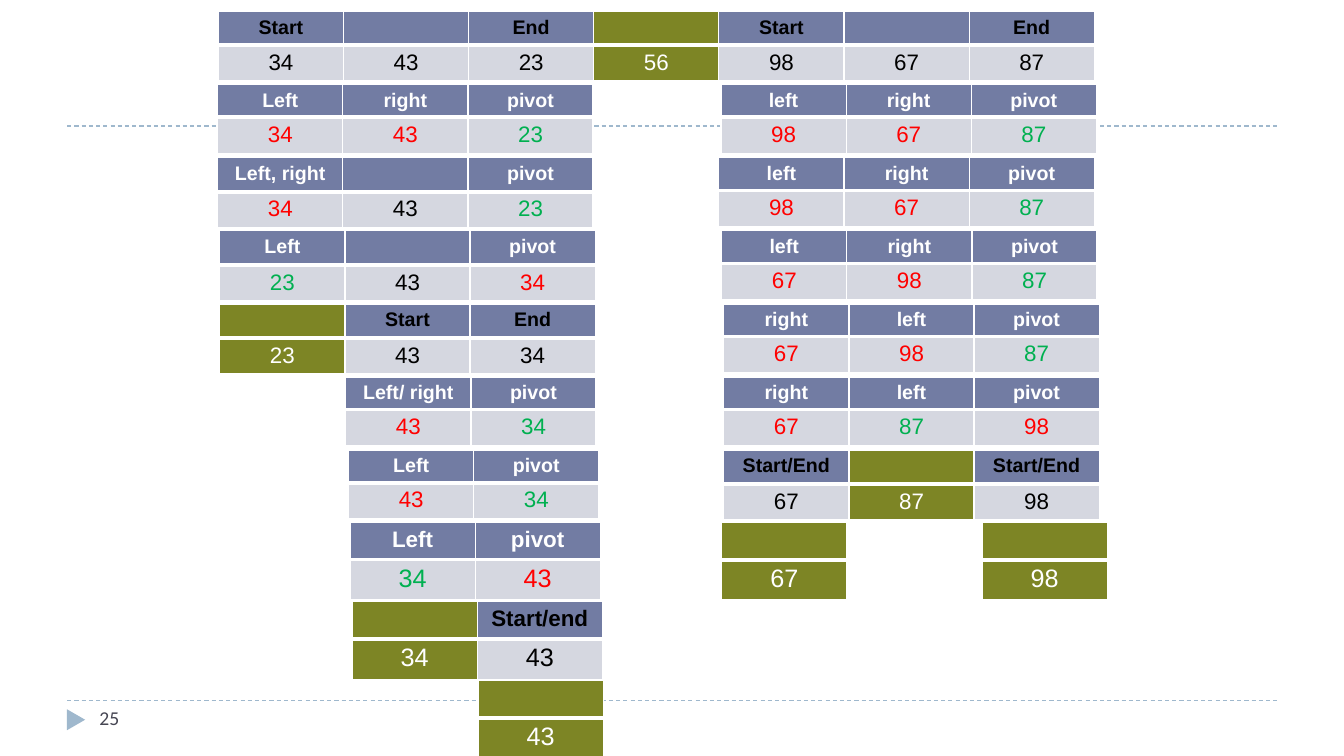
from lxml.etree import SubElement
from pptx import Presentation
from pptx.dml.color import RGBColor
from pptx.enum.dml import MSO_LINE
from pptx.enum.shapes import MSO_CONNECTOR, MSO_SHAPE
from pptx.enum.text import MSO_ANCHOR, PP_ALIGN
from pptx.oxml.ns import qn
from pptx.util import Pt

WHITE = RGBColor(0xFF, 0xFF, 0xFF)
BLACK = RGBColor(0x00, 0x00, 0x00)
RED = RGBColor(0xFF, 0x00, 0x00)
GREEN = RGBColor(0x00, 0xB0, 0x50)
SLATE = RGBColor(0x72, 0x7C, 0xA3)
PALE = RGBColor(0xD5, 0xD7, 0xE0)
OLIVE = RGBColor(0x7D, 0x85, 0x25)
SKY = RGBColor(0x9F, 0xB8, 0xCD)
INK = RGBColor(0x46, 0x46, 0x53)

SCANNED, PIVOT, WAITING, SETTLED = RED, GREEN, BLACK, WHITE
COLUMN_WIDTH = 89.4
FIRST_STEP, STEP_PITCH = 60.5, 52.2
FIRST_LARGE, LARGE_PITCH = 373, 56.5

WHOLE_ARRAY = [("Start", 34, WAITING), ("", 43, WAITING), ("End", 23, WAITING),
               ("", 56, SETTLED), ("Start", 98, WAITING), ("", 67, WAITING),
               ("End", 87, WAITING)]

LEFT_STEPS = [
    (155.5, [("Left", 34, SCANNED), ("right", 43, SCANNED), ("pivot", 23, PIVOT)]),
    (155.5, [("Left, right", 34, SCANNED), ("", 43, WAITING), ("pivot", 23, PIVOT)]),
    (157, [("Left", 23, PIVOT), ("", 43, WAITING), ("pivot", 34, SCANNED)]),
    (157, [("", 23, SETTLED), ("Start", 43, WAITING), ("End", 34, WAITING)]),
    (247, [("Left/ right", 43, SCANNED), ("pivot", 34, PIVOT)]),
    (249, [("Left", 43, SCANNED), ("pivot", 34, PIVOT)]),
]

RIGHT_STEPS = [
    (515, [("left", 98, SCANNED), ("right", 67, SCANNED), ("pivot", 87, PIVOT)]),
    (513.5, [("left", 98, SCANNED), ("right", 67, SCANNED), ("pivot", 87, PIVOT)]),
    (515.5, [("left", 67, SCANNED), ("right", 98, SCANNED), ("pivot", 87, PIVOT)]),
    (517, [("right", 67, SCANNED), ("left", 98, SCANNED), ("pivot", 87, PIVOT)]),
    (517, [("right", 67, SCANNED), ("left", 87, PIVOT), ("pivot", 98, SCANNED)]),
    (517, [("Start/End", 67, WAITING), ("", 87, SETTLED), ("Start/End", 98, WAITING)]),
]

LEFT_LARGE_STEPS = [
    (250, [("Left", 34, PIVOT), ("pivot", 43, SCANNED)]),
    (251.5, [("", 34, SETTLED), ("Start/end", 43, WAITING)]),
    (341.5, [("", 43, SETTLED)]),
]

RIGHT_LARGE_STEPS = [(515.5, [("", 67, SETTLED)]), (701.5, [("", 98, SETTLED)])]


def write(frame, text, size, color, font="Arial", bold=False, align=PP_ALIGN.LEFT):
    paragraph = frame.paragraphs[0]
    paragraph.alignment = align
    if not text:
        SubElement(paragraph._p, qn("a:endParaRPr"), sz=str(size * 100))
        return
    run = paragraph.add_run()
    run.text = text
    run.font.name = font
    run.font.size = Pt(size)
    run.font.bold = bold
    run.font.color.rgb = color


def set_borders(cell, top, bottom):
    properties = cell._tc.get_or_add_tcPr()
    widths = {"a:lnL": 1, "a:lnR": 1, "a:lnT": top, "a:lnB": bottom}
    for position, (side, width) in enumerate(widths.items()):
        border = SubElement(properties, qn(side), w=str(Pt(width)))
        fill = SubElement(border, qn("a:solidFill"))
        SubElement(fill, qn("a:srgbClr"), val=str(WHITE))
        properties.insert(position, border)


def format_cell(cell, text, size, color, fill, bold, top, bottom):
    cell.fill.solid()
    cell.fill.fore_color.rgb = fill
    set_borders(cell, top, bottom)
    write(cell.text_frame, text, size, color, bold=bold, align=PP_ALIGN.CENTER)


def add_step(slide, left, top, entries, large=False):
    label_size, value_size = (16, 18) if large else (14, 16)
    heights = (26.6, 28.8) if large else (23.3, 25.6)
    step = slide.shapes.add_table(2, len(entries), Pt(left), Pt(top),
                                  Pt(COLUMN_WIDTH * len(entries)), Pt(sum(heights))).table
    for row, height in zip(step.rows, heights):
        row.height = Pt(height)
    for column, (label, value, state) in enumerate(entries):
        settled = state == SETTLED
        label_color = BLACK if label.startswith(("Start", "End")) else WHITE
        format_cell(step.cell(0, column), label, label_size, label_color,
                    OLIVE if settled else SLATE, bold=True, top=1, bottom=3)
        format_cell(step.cell(1, column), str(value), value_size, state,
                    OLIVE if settled else PALE, bold=False, top=3, bottom=1)


def add_rule(slide, y):
    rule = slide.shapes.add_connector(MSO_CONNECTOR.STRAIGHT, Pt(48), Pt(y), Pt(912), Pt(y))
    rule.line.color.rgb = SKY
    rule.line.width = Pt(0.75)
    rule.line.dash_style = MSO_LINE.DASH
    SubElement(rule._element.spPr, qn("a:effectLst"))


def add_page_marker(slide):
    marker = slide.shapes.add_shape(MSO_SHAPE.ISOSCELES_TRIANGLE,
                                    Pt(46.8), Pt(507.6), Pt(15), Pt(13))
    marker.rotation = 90
    marker.shadow.inherit = False
    marker.fill.solid()
    marker.fill.fore_color.rgb = SKY
    marker.line.fill.background()


def add_page_number(slide, number):
    frame = slide.shapes.add_textbox(Pt(64), Pt(500.4), Pt(208), Pt(28.8)).text_frame
    frame.word_wrap = True
    frame.vertical_anchor = MSO_ANCHOR.TOP
    write(frame, number, 14, INK, font="Calibri")


def main():
    deck = Presentation()
    deck.slide_width, deck.slide_height = Pt(960), Pt(540)
    slide = deck.slides.add_slide(deck.slide_layouts[6])
    for y in (500.4, 90):
        add_rule(slide, y)
    add_page_marker(slide)
    add_step(slide, 156, 8, WHOLE_ARRAY)
    for steps in (LEFT_STEPS, RIGHT_STEPS):
        for index, (left, entries) in enumerate(steps):
            add_step(slide, left, FIRST_STEP + index * STEP_PITCH, entries)
    for index, (left, entries) in enumerate(LEFT_LARGE_STEPS):
        add_step(slide, left, FIRST_LARGE + index * LARGE_PITCH, entries, large=True)
    for left, entries in RIGHT_LARGE_STEPS:
        add_step(slide, left, FIRST_LARGE, entries, large=True)
    add_page_number(slide, "25")
    deck.save("out.pptx")


if __name__ == "__main__":
    main()
